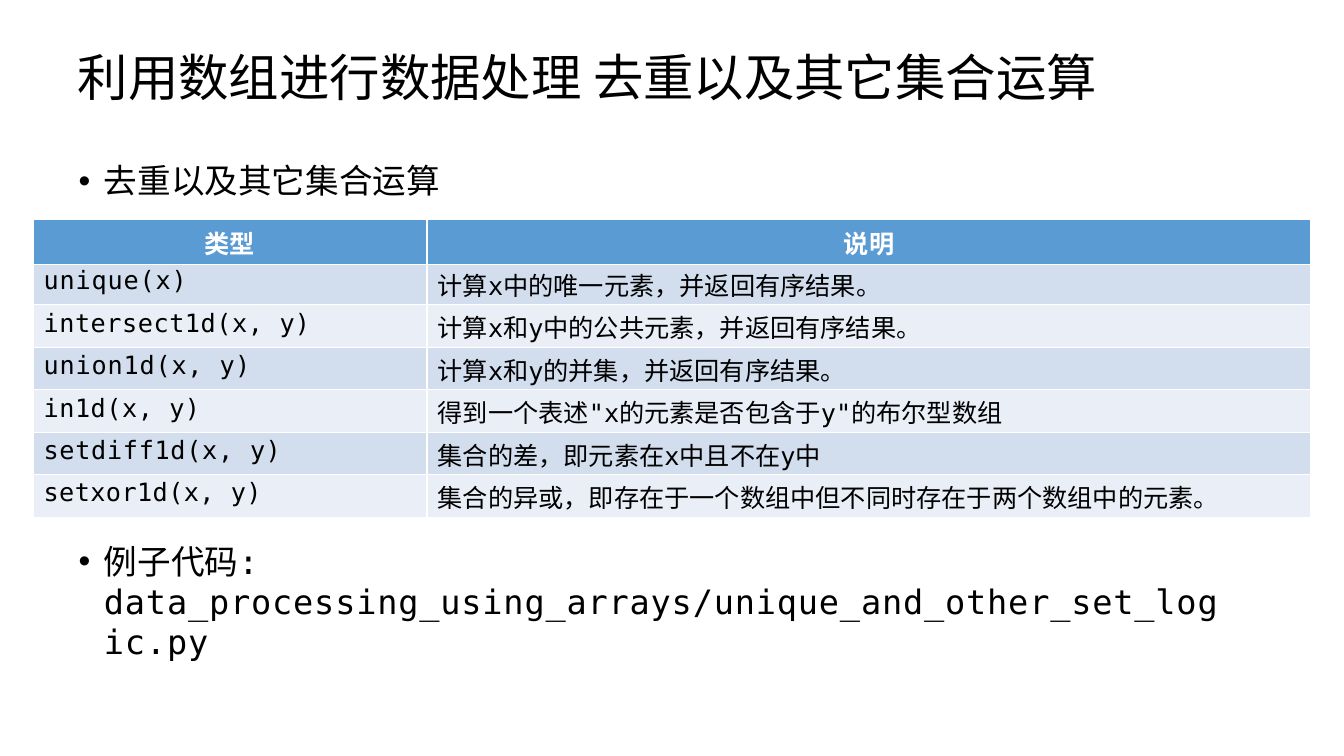
from pptx import Presentation
from pptx.dml.color import RGBColor
from pptx.enum.text import MSO_ANCHOR, MSO_AUTO_SIZE, PP_ALIGN
from pptx.oxml import parse_xml
from pptx.oxml.ns import nsdecls, qn
from pptx.util import Cm, Pt

COLORS = {"text": "000000", "white": "FFFFFF", "header": "5B9BD4",
          "odd": "D2DEEE", "even": "EAEEF7"}
MONO, CJK = "DejaVu Sans Mono", "Noto Sans CJK SC"

TITLE = "利用数组进行数据处理 去重以及其它集合运算"
HEADERS = ["类型", "说明"]
# Each cell is a list of (text, letter spacing in points).
FUNCTIONS = [
    ([("unique(x)", 0.6)],
     [("计算", 0), ("x", -0.1), ("中的唯一元素，并返回有序结果。", 0)]),
    ([("intersect1d(x, ", 0.4), ("y)", 0.2)],
     [("计算", 0), ("x", -0.1), ("和y中的公共元素，并返回有序结果。", 0)]),
    ([("union1d(x, ", 0.6), ("y)", 0.2)],
     [("计算", 0), ("x", -0.1), ("和y的并集，并返回有序结果。", 0)]),
    ([("in1d(x, ", 0.4), ("y)", 0.2)],
     [("得到一个表述\"", 0), ("x", -0.1), ("的元素是否包含于", 0),
      ("y", 0.2), ("\"的布尔型数组", 0)]),
    ([("setdiff1d(x, ", 0.5), ("y)", 0.2)],
     [("集合的差，即元素在", 0), ("x", -0.1), ("中且不在y中", 0)]),
    ([("setxor1d(x, ", 0.3), ("y)", 0.2)],
     [("集合的异或，即存在于一个数组中但不同时存在于两个数组中的元素。", 0)]),
]


class SlideBuilder:
    def __init__(self, prs):
        self.slide = prs.slides.add_slide(prs.slide_layouts[5])

    def add_runs(self, p, runs, size, font=MONO, color="text", bold=False):
        """Add (text, letter spacing) runs to a paragraph in one style."""
        for text, spacing in runs:
            r = p.add_run()
            r.text = text
            r.font.size = Pt(size)
            r.font.name = font
            r.font.bold = bold
            r.font.color.rgb = RGBColor.from_string(COLORS[color])
            rPr = r._r.get_or_add_rPr()
            rPr.find(qn("a:latin")).addnext(
                parse_xml(f'<a:ea {nsdecls("a")} typeface="{CJK}"/>'))
            if spacing:
                rPr.set("spc", str(round(spacing * 100)))

    def frame(self, sp):
        """Set the box's margins and return its first paragraph."""
        tf = sp.text_frame
        tf.word_wrap = True
        tf.auto_size = MSO_AUTO_SIZE.NONE
        tf.vertical_anchor = MSO_ANCHOR.TOP
        tf.margin_left = tf.margin_right = tf.margin_bottom = 0
        tf.margin_top = Cm(0.03)
        return tf.paragraphs[0]

    def title(self, text, left, top, width, height):
        sp = self.slide.shapes.title
        sp.left, sp.top, sp.width, sp.height = map(Cm, (left, top, width, height))
        p = self.frame(sp)
        p.alignment = PP_ALIGN.LEFT
        self.add_runs(p, [(text, 0)], 36)

    def bullet(self, runs, left, top, width, height):
        sp = self.slide.shapes.add_textbox(*map(Cm, (left, top, width, height)))
        p = self.frame(sp)
        pPr = p._p.get_or_add_pPr()
        pPr.set("marL", str(Cm(0.66)))
        pPr.set("indent", str(-Cm(0.64)))
        pPr.append(parse_xml(f'<a:buFont {nsdecls("a")} typeface="Arial"/>'))
        pPr.append(parse_xml(f'<a:buChar {nsdecls("a")} char="•"/>'))
        self.add_runs(p, runs, 24)

    def cell(self, cell, runs, fill, margin_top, header=False):
        cell.margin_left = Cm(0 if header else 0.27)
        cell.margin_right = cell.margin_bottom = 0
        cell.margin_top = Cm(margin_top)
        p = cell.text_frame.paragraphs[0]
        if header:
            p.alignment = PP_ALIGN.CENTER
            self.add_runs(p, runs, 18, CJK, "white", True)
        else:
            self.add_runs(p, runs, 18)
        tcPr = cell._tc.get_or_add_tcPr()
        for side in ("lnL", "lnR", "lnT", "lnB"):
            tcPr.append(parse_xml(
                f'<a:{side} {nsdecls("a")} w="{Pt(1)}"><a:solidFill>'
                f'<a:srgbClr val="{COLORS["white"]}"/></a:solidFill></a:{side}>'))
        cell.fill.solid()
        cell.fill.fore_color.rgb = RGBColor.from_string(COLORS[fill])

    def table(self, headers, rows, left, top, widths, heights):
        shape = self.slide.shapes.add_table(
            len(rows) + 1, len(headers), Cm(left), Cm(top),
            Cm(sum(widths)), Cm(sum(heights)))
        table = shape.table
        for column, width in zip(table.columns, widths):
            column.width = Cm(width)
        for row, height in zip(table.rows, heights):
            row.height = Cm(height)
        for j, text in enumerate(headers):
            self.cell(table.cell(0, j), [(text, 0)], "header", 0.1, header=True)
        for i, row in enumerate(rows, 1):
            for j, runs in enumerate(row):
                self.cell(table.cell(i, j), runs, "odd" if i % 2 else "even",
                          0.05 if i == 1 else 0.1)


def main():
    prs = Presentation()
    prs.slide_width, prs.slide_height = Cm(33.87), Cm(19.05)
    s = SlideBuilder(prs)
    s.title(TITLE, 1.96, 1.12, 25.86, 1.6)
    s.bullet([("去重以及其它集合运算", 0)], 1.96, 4.01, 9.17, 1.09)
    s.bullet([("例子代码", 0), (": ", -0.9),
              ("data_processing_using_arrays/unique_and_other_set_logic.py", 0.6)],
             1.96, 13.59, 29.21, 1.09)
    s.table(HEADERS, FUNCTIONS, 0.83, 5.54, [9.93, 22.28],
            [1.12, 1.02] + [1.07] * 5)
    prs.save("out.pptx")


if __name__ == "__main__":
    main()
